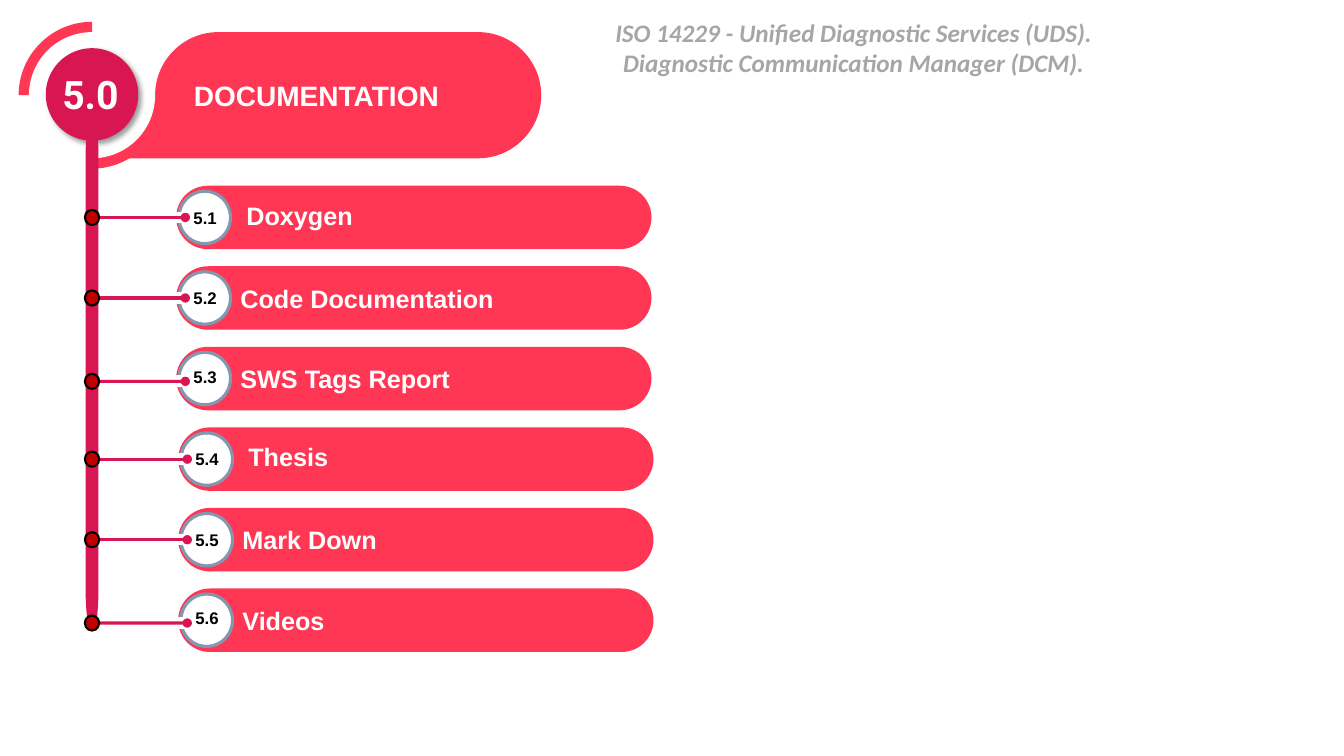
from dataclasses import dataclass

from lxml.etree import SubElement
from pptx import Presentation
from pptx.dml.color import RGBColor as Rgb
from pptx.enum.shapes import MSO_CONNECTOR as Link, MSO_SHAPE as Kind
from pptx.enum.text import MSO_ANCHOR as Anchor, MSO_AUTO_SIZE as Fit, PP_ALIGN as Align
from pptx.oxml.ns import qn
from pptx.util import Cm, Pt


@dataclass(frozen=True)
class Theme:
    red: str = "FF3654"
    dark: str = "D81652"
    dot: str = "C00000"
    ring: str = "8497B0"
    grey: str = "A6A6A6"
    white: str = "FFFFFF"
    black: str = "000000"
    font: str = "Arial"
    note_font: str = "Calibri"
    hub_font: str = "Roboto"
    hub: int = 28
    title: int = 20
    label: int = 18
    number: int = 12


THEME = Theme()
TOPICS = ["Doxygen", "Code Documentation", "SWS Tags Report",
          "Thesis", "Mark Down", "Videos"]
NOTE = """ISO 14229 - Unified Diagnostic Services (UDS).
Diagnostic Communication Manager (DCM)."""


def paint(shape, fill, line=None, weight=1):
    shape.shadow.inherit = False
    shape.fill.solid()
    shape.fill.fore_color.rgb = Rgb.from_string(fill)
    if line:
        shape.line.color.rgb = Rgb.from_string(line)
        shape.line.width = Pt(weight)
    else:
        shape.line.fill.background()
    return shape


def draw(slide, kind, x, y, w, h, *style):
    shape = slide.shapes.add_shape(kind, Cm(x), Cm(y), Cm(w), Cm(h))
    return paint(shape, *style)


def disc(slide, x, y, w, h, *style):
    """Draw an ellipse around the centre x, y."""
    return draw(slide, Kind.OVAL, x - w / 2, y - h / 2, w, h, *style)


def trace(slide, start, steps, fill):
    """Draw an outline of steps (way, x, y).

    Way "L" is a straight line; "H" and "V" are quarter ellipses that
    set off across or up and down.
    """
    bend = 0.55
    points, (x, y) = [], start
    for way, to_x, to_y in steps:
        dx, dy = bend * (to_x - x), bend * (to_y - y)
        if way == "H":
            points += [(x + dx, y), (to_x, to_y - dy)]
        elif way == "V":
            points += [(x, y + dy), (to_x - dx, to_y)]
        x, y = to_x, to_y
        points.append((x, y))

    pen = slide.shapes.build_freeform(Cm(start[0]), Cm(start[1]))
    pen.add_line_segments([(Cm(px), Cm(py)) for px, py in points], close=True)
    shape = pen.convert_to_shape()
    lines = iter(list(shape.element.iter(qn("a:lnTo"))))
    for way, *_ in steps:
        line = next(lines)
        if way != "L":
            line.tag = qn("a:cubicBezTo")
            for extra in (next(lines), next(lines)):
                line.append(extra[0])
                extra.getparent().remove(extra)
    return paint(shape, fill)


def write(box, text, size, color, font=THEME.font, align=Align.LEFT,
          anchor=Anchor.MIDDLE, italic=False):
    frame = box.text_frame
    frame.word_wrap = True
    frame.auto_size = Fit.NONE
    frame.vertical_anchor = anchor
    para = frame.paragraphs[0]
    para.text = text
    para.alignment = align
    for run in para.runs:
        run.font.name = font
        run.font.size = Pt(size)
        run.font.bold = True
        run.font.italic = italic
        run.font.color.rgb = Rgb.from_string(color)


def label(slide, x, y, w, h, *args, **style):
    box = slide.shapes.add_textbox(Cm(x), Cm(y), Cm(w), Cm(h))
    write(box, *args, **style)
    return box


def shade(shape):
    """Give the shape a soft shadow to the lower right."""
    effects = shape.element.spPr.find(qn("a:effectLst"))
    shadow = SubElement(effects, qn("a:outerShdw"), blurRad=str(Pt(4)),
                        dist=str(Pt(3)), dir="2700000", algn="tl", rotWithShape="0")
    color = SubElement(shadow, qn("a:srgbClr"), val=THEME.black)
    SubElement(color, qn("a:alpha"), val="40000")


def wire(slide, x, y, notch):
    """Run a line with a round end from x, y to the notch's right side."""
    line = slide.shapes.add_connector(Link.STRAIGHT, Cm(x), Cm(y), Cm(x), Cm(y))
    line.end_connect(notch, 3)
    line.line.color.rgb = Rgb.from_string(THEME.dark)
    line.line.width = Pt(2.25)
    SubElement(line.line._get_or_add_ln(), qn("a:tailEnd"), type="oval")
    SubElement(line.element.spPr, qn("a:effectLst"))


def header(slide, x, y, width):
    """Draw the title banner, whose round hub is centred at x, y."""
    r, outer, right = 1.59, 1.85, x + width
    trace(slide, (right, y), [
        ("V", right - r, y + r), ("L", x, y + r), ("H", x + r, y),
        ("V", x + 2 * r, y - r), ("L", right - r, y - r), ("H", right, y)], THEME.red)
    for reach in (-outer, outer):
        trace(slide, (x, y + reach), [
            ("L", x, y), ("L", x + reach, y), ("V", x, y + reach)], THEME.red)
    disc(slide, x, y, 2 * r, 2 * r, THEME.white)
    shade(disc(slide, x, y - 0.02, 2.33, 2.33, THEME.dark))

    title = slide.shapes.title
    title.left, title.top = Cm(x + 2.31), Cm(y - 0.55)
    title.width, title.height = Cm(10.41), Cm(1.12)
    write(title, "DOCUMENTATION", THEME.title, THEME.white)
    title.element.getparent().append(title.element)


def topic(slide, x, y, width, index, spine):
    """Draw one bar at x, y and return the height of its line."""
    height, place = 1.6, index % 3
    mid = y + height / 2
    inset, rise = (1.52, 0.06) if place == 0 else (1.37, 0)
    drop, lift = (0.07, 0.05) if place == 2 else (0, 0)

    bar = draw(slide, Kind.ROUNDED_RECTANGLE, x, y, width, height, THEME.red)
    bar.adjustments[0] = 0.5
    disc(slide, x + 0.72, mid, 1.3, 1.32, THEME.white, THEME.ring, 2.25)
    label(slide, x + 0.08, mid - 0.38 - lift, 1.3, 0.76, f"5.{index + 1}",
          THEME.number, THEME.black, align=Align.CENTER)
    label(slide, x + inset, mid - 0.51 - rise, 12.09 if place else 6.05, 1.02,
          TOPICS[index], THEME.label, THEME.white)
    notch = draw(slide, Kind.RECTANGLE, x - 0.71, mid + drop - 0.13, 0.94, 0.26,
                 THEME.white, THEME.white)
    wire(slide, spine, mid + drop, notch)
    return mid + drop


def stem(slide, x, top, end, stops):
    """Draw the tapered spine at x with a dot at each stop."""
    left, right, taper = x - 0.16, x + 0.16, 0.96
    trace(slide, (left, end - taper), [
        ("L", left, top + taper), ("V", x, top), ("H", right, top + taper),
        ("L", right, end - taper), ("V", x, end), ("H", left, end - taper)], THEME.dark)
    for y in stops:
        disc(slide, x, y, 0.36, 0.38, THEME.dot, THEME.black, 1.5)


def main():
    deck = Presentation()
    deck.slide_width, deck.slide_height = Cm(33.87), Cm(19.05)
    slide = deck.slides.add_slide(deck.slide_layouts[5])
    x, y = 2.32, 2.4

    header(slide, x, y, 11.32)
    stops = [topic(slide, 4.44 + i // 3 * 0.05, 4.68 + i * 2.03, 11.98, i, x)
             for i in range(len(TOPICS))]
    stem(slide, x, 2.9, 15.9, stops)
    hub = label(slide, x - 0.84, y - 0.63, 1.6, 1.2, "5.0", THEME.hub, THEME.white,
                font=THEME.hub_font, align=Align.CENTER)
    frame = hub.text_frame
    frame.margin_left = frame.margin_right = frame.margin_top = frame.margin_bottom = 0
    label(slide, 14.35, 0.3, 14.33, 1.8, NOTE, THEME.label, THEME.grey,
          font=THEME.note_font, align=Align.CENTER, anchor=Anchor.TOP, italic=True)
    deck.save("out.pptx")


if __name__ == "__main__":
    main()
